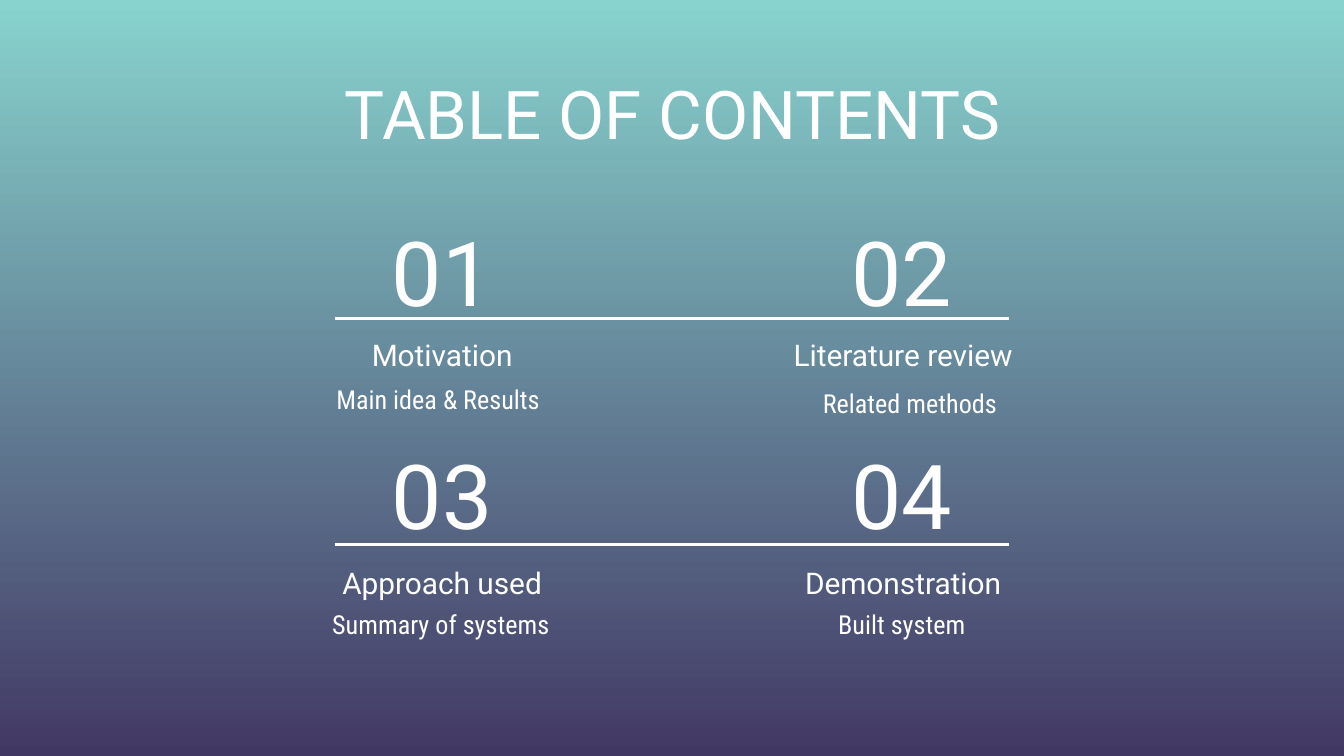
from lxml import etree
from pptx import Presentation
from pptx.dml.color import RGBColor
from pptx.enum import shapes, text
from pptx.oxml.ns import qn
from pptx.util import Inches, Pt

WHITE = "FFFFFF"
TOP, MID, LOW = text.MSO_ANCHOR.TOP, text.MSO_ANCHOR.MIDDLE, text.MSO_ANCHOR.BOTTOM

# Number, heading, note, note left and top, hanging indent
TOPICS = [
    ("01", "Motivation", "Main idea & Results", 2.16, 2.75, True),
    ("02", "Literature review", "Related methods", 5.67, 2.78, True),
    ("03", "Approach used", "Summary of systems", 2.24, 4.43, False),
    ("04", "Demonstration", "Built system", 5.67, 4.43, False),
]
# Left edges by column, top edges by row
NUM_X, NUM_Y = (2.33, 5.75), (1.7, 3.36)
HEAD_X, HEAD_Y = (1.85, 5.28), (2.24, 3.94)
RULE_Y = (2.37, 4.05)


def color(code):
    return RGBColor.from_string(code)


def write(box, words, size, font="Roboto", anchor=TOP, hang=False):
    frame = box.text_frame
    frame.word_wrap = True
    frame.auto_size = text.MSO_AUTO_SIZE.NONE
    frame.vertical_anchor = anchor
    frame.margin_left = frame.margin_right = Inches(0.1)
    frame.margin_top = frame.margin_bottom = Inches(0.1)
    para = frame.paragraphs[0]
    para.alignment = text.PP_ALIGN.CENTER
    if hang:
        props = para._p.get_or_add_pPr()
        props.set("marL", str(Inches(0.5)))
        props.set("indent", str(Inches(-0.38)))
    run = para.add_run()
    run.text = words
    run.font.name = font
    run.font.size = Pt(size)
    run.font.color.rgb = color(WHITE)


def label(slide, left, top, width, height, words, size, **form):
    box = slide.shapes.add_textbox(*map(Inches, (left, top, width, height)))
    write(box, words, size, **form)


def rule(slide, y):
    line = slide.shapes.add_connector(
        shapes.MSO_CONNECTOR.STRAIGHT, Inches(2.49), Inches(y), Inches(7.51), Inches(y))
    line.line.color.rgb = color(WHITE)
    line.line.width = Pt(1.5)
    etree.SubElement(line._element.spPr, qn("a:effectLst"))


def shade(slide, first, last):
    fill = slide.background.fill
    fill.gradient()
    fill.gradient_angle = 270  # counter-clockwise, so top to bottom
    for stop, code, place in zip(fill.gradient_stops, (first, last), (0, 1)):
        stop.color.rgb = color(code)
        stop.position = place


def heading(slide, words):
    title = slide.shapes.title
    title.left, title.top = Inches(1.23), Inches(0.44)
    title.width, title.height = Inches(7.55), Inches(1.03)
    write(title, words, 36)


def main():
    deck = Presentation()
    deck.slide_width = Inches(10)
    deck.slide_height = Inches(10) * 9 // 16  # widescreen
    slide = deck.slides.add_slide(deck.slide_layouts[5])
    shade(slide, "88D3CE", "423864")
    heading(slide, "TABLE OF CONTENTS")

    # Topics in a two by two grid
    for i, (num, head, note, x, y, hang) in enumerate(TOPICS):
        row, col = divmod(i, 2)
        label(slide, NUM_X[col], NUM_Y[row], 1.92, 0.63, num, 48, anchor=MID)
        label(slide, HEAD_X[col], HEAD_Y[row], 2.88, 0.63, head, 16, anchor=LOW)
        label(slide, x, y, 2.08, 0.4, note, 14, font="Roboto Condensed", hang=hang)

    # One rule under each row of numbers
    for y in RULE_Y:
        rule(slide, y)
    deck.save("out.pptx")


if __name__ == "__main__":
    main()
